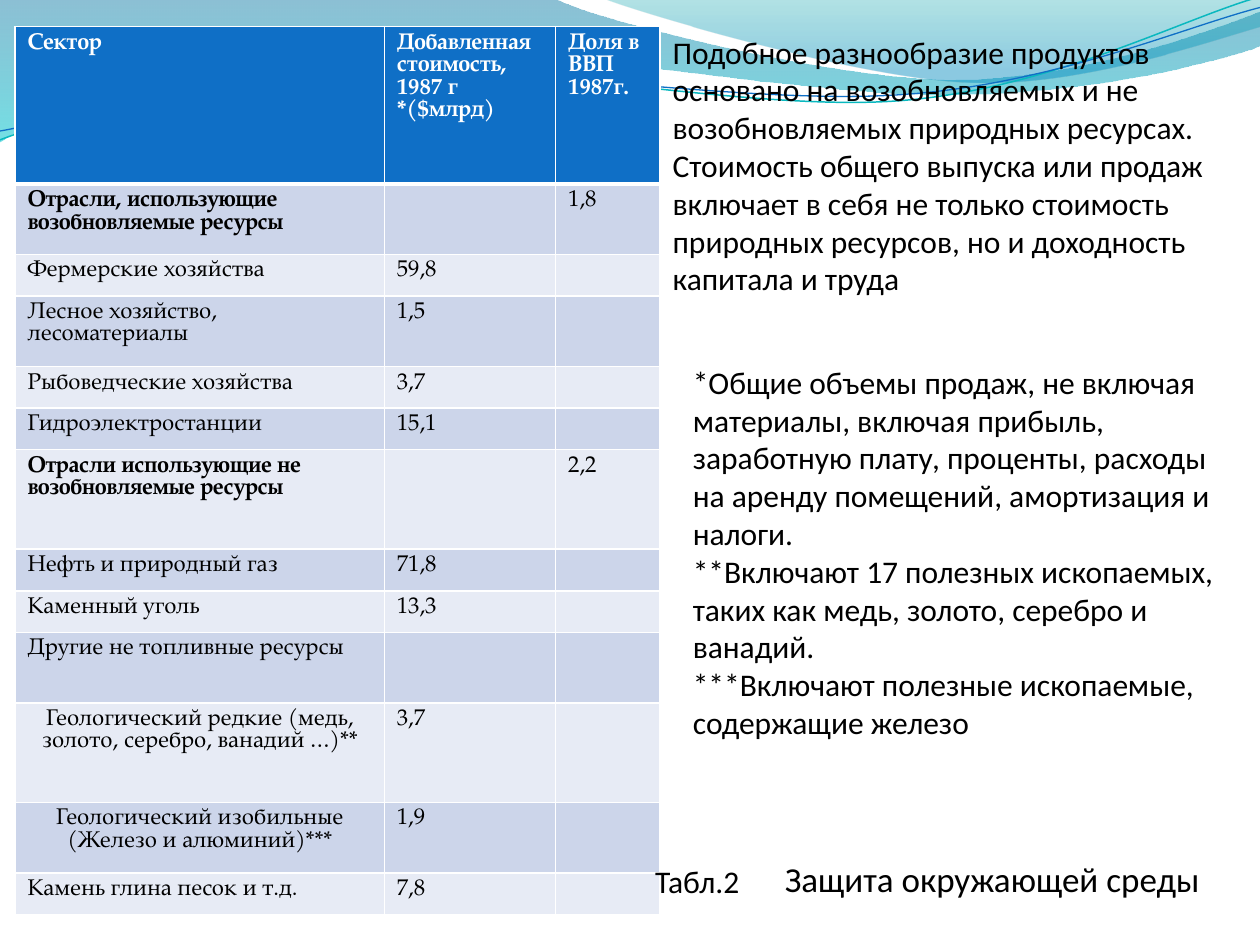
from math import cos, radians, sin

from pptx import Presentation
from pptx.dml.color import RGBColor
from pptx.enum.text import MSO_AUTO_SIZE, PP_ALIGN
from pptx.oxml.ns import qn
from pptx.util import Inches, Pt
from lxml.etree import SubElement

COLORS = {
    "header": "0F6FC6", "odd": "CCD5EA", "even": "E7EBF5",
    "white": "FFFFFF", "black": "000000",
    "deep": "0074A1", "aqua": "00C6CF", "teal": "00A1A9", "sky": "008BBF",
    "cyan_line": "0AB8BF", "blue_line": "0F6FC6",
}
TABLE_FONT = "TeX Gyre Pagella"
TEXT_FONT = "Calibri"
COLUMN_WIDTHS = [2.93, 1.36, 0.83]
ROW_HEIGHTS = [1.25, 0.56, 0.33, 0.56, 0.33, 0.33, 0.79, 0.33, 0.33, 0.56, 0.79, 0.56, 0.33]
ROWS = [
    ("Сектор", "Добавленная стоимость, 1987 г *($млрд)", "Доля в ВВП 1987г."),
    ("Отрасли, использующие возобновляемые ресурсы", "", "1,8"),
    ("Фермерские хозяйства", "59,8", ""),
    ("Лесное хозяйство, лесоматериалы", "1,5", ""),
    ("Рыбоведческие хозяйства", "3,7", ""),
    ("Гидроэлектростанции", "15,1", ""),
    ("Отрасли использующие не возобновляемые ресурсы", "", "2,2"),
    ("Нефть и природный газ", "71,8", ""),
    ("Каменный уголь", "13,3", ""),
    ("Другие не топливные ресурсы", "", ""),
    ("Геологический редкие (медь, золото, серебро, ванадий …)**", "3,7", ""),
    ("Геологический изобильные (Железо и алюминий)***", "1,9", ""),
    ("Камень глина песок и т.д.", "7,8", ""),
]
GROUP_ROWS = {1, 6}
CENTERED_ROWS = {10, 11}

WAVES = [
    ([(0, 0), (4.4, -0.01),
      (4.76, 0.17, 6.64, 0.63, 7.58, 0.63), (8.53, 0.63, 9.58, 0.26, 10, 0.09),
      (10.01, 0.36), (9.83, 0.44, 8.7, 0.76, 7.46, 0.75),
      (6.22, 0.75, 3.82, 0.28, 2.57, 0.34), (1.29, 0.36, 0.46, 0.83, -0.01, 1.13)],
     [(0, "deep", 45), (1, "aqua", 55)]),
    ([(4.79, -0.01), (5.09, 0.11, 6.82, 0.62, 7.69, 0.65),
      (8.56, 0.69, 9.61, 0.32, 10, 0.21), (10, 0)],
     [(0, "teal", 30), (0.8, "sky", 45)]),
]
WAVE_LINE_ANGLE = 357.3
WAVE_LINES = [
    ([(0, 1.11), (0.48, 0.93, 1.58, 0.57, 2.77, 0.52),
      (3.95, 0.47, 5.93, 0.89, 7.13, 0.8), (8.33, 0.71, 9.38, 0.15, 9.98, -0.02)],
     (4.99, 0.58), "cyan_line", 0.85),
    ([(0, 1.04), (0.47, 0.96, 1.64, 0.61, 2.83, 0.56),
      (4.03, 0.51, 5.97, 0.84, 7.17, 0.75), (8.36, 0.67, 9.41, 0.21, 10, 0.06)],
     (5, 0.59), "blue_line", 0.75),
]
PRODUCTS_TEXT = (
    "Подобное разнообразие продуктов основано на возобновляемых и не возобновляемых "
    "природных ресурсах. Стоимость общего выпуска или продаж включает в себя не только "
    "стоимость природных ресурсов, но и доходность капитала и труда"
)
FOOTNOTES = "\n".join([
    "*Общие объемы продаж, не включая материалы, включая прибыль, заработную плату, "
    "проценты, расходы на аренду помещений, амортизация и налоги.",
    "**Включают 17 полезных ископаемых, таких как медь, золото, серебро и ванадий.",
    "***Включают полезные ископаемые, содержащие железо",
])


def color(name):
    """Return the named colour."""
    return RGBColor.from_string(COLORS[name])


def turn(point, center, degrees):
    """Rotate a point clockwise about a center."""
    x, y = point[0] - center[0], point[1] - center[1]
    cosine, sine = cos(radians(degrees)), sin(radians(degrees))
    return center[0] + x * cosine - y * sine, center[1] + x * sine + y * cosine


def add_outline(slide, segments, close, center=(0, 0), angle=0):
    """Add a freeform of straight lines and cubic curves, without shadow."""
    points = [turn(segment[i:i + 2], center, -angle)
              for segment in segments for i in range(0, len(segment), 2)]
    start, *others = [(Inches(x), Inches(y)) for x, y in points]
    builder = slide.shapes.build_freeform(*start)
    builder.add_line_segments(others, close=close)
    shape = builder.convert_to_shape()
    shape.rotation = angle
    shape.shadow.inherit = False
    lines = iter(list(shape._element.iter(qn("a:lnTo"))))
    for segment in segments[1:]:
        line = next(lines)
        if len(segment) == 6:
            line.tag = qn("a:cubicBezTo")
            for extra in (next(lines), next(lines)):
                line.append(extra[0])
                extra.getparent().remove(extra)
    return shape


def add_wave(slide, segments, stops):
    """Add a wave filled with a translucent vertical gradient."""
    shape = add_outline(slide, segments, True)
    shape.line.fill.background()
    shape.fill.gradient()
    shape.fill.gradient_angle = 270
    for stop, (position, name, opacity) in zip(shape.fill.gradient_stops, stops):
        stop.position = position
        stop.color.rgb = color(name)
    elements = shape._element.spPr.iter(qn("a:srgbClr"))
    for element, (position, name, opacity) in zip(list(elements), stops):
        SubElement(element, qn("a:alpha"), val=str(opacity * 1000))


def add_wave_line(slide, segments, center, name, width):
    """Add a thin curved line."""
    shape = add_outline(slide, segments, False, center, WAVE_LINE_ANGLE)
    shape.fill.background()
    shape.line.color.rgb = color(name)
    shape.line.width = Pt(width)


def style_font(font, name, size, color_name):
    """Set the typeface, size and colour of a font."""
    font.name = name
    font.size = Pt(size)
    font.color.rgb = color(color_name)


def add_header_border(cell):
    """Draw the thick white line below a header cell."""
    border = SubElement(cell._tc.get_or_add_tcPr(), qn("a:lnB"), w=str(Pt(3)))
    fill = SubElement(border, qn("a:solidFill"))
    SubElement(fill, qn("a:srgbClr"), val=COLORS["white"])


def fill_cell(cell, text, row, column):
    """Write one table cell and format it by its place."""
    if row == 0:
        add_header_border(cell)
    cell.fill.solid()
    cell.fill.fore_color.rgb = color("header" if row == 0 else "odd" if row % 2 else "even")
    paragraph = cell.text_frame.paragraphs[0]
    paragraph.line_spacing = Pt(12.8)
    if not text:
        SubElement(paragraph._p, qn("a:endParaRPr"), sz="1300")
        return
    paragraph.text = text
    if row in CENTERED_ROWS and column == 0:
        paragraph.alignment = PP_ALIGN.CENTER
    for run in paragraph.runs:
        style_font(run.font, TABLE_FONT, 13, "black" if row else "white")
        run.font.bold = row == 0 or (row in GROUP_ROWS and column == 0)


def add_sector_table(slide):
    """Add the table of sectors, added value and share of GDP."""
    frame = slide.shapes.add_table(
        len(ROWS), len(COLUMN_WIDTHS), Inches(0.12), Inches(0.21),
        Inches(sum(COLUMN_WIDTHS)), Inches(sum(ROW_HEIGHTS)))
    table = frame.table
    for column, width in zip(table.columns, COLUMN_WIDTHS):
        column.width = Inches(width)
    for row, height in zip(table.rows, ROW_HEIGHTS):
        row.height = Inches(height)
    for row, texts in enumerate(ROWS):
        for column, text in enumerate(texts):
            fill_cell(table.cell(row, column), text, row, column)


def add_text(slide, text, left, top, width, height, size=18, wrap=True):
    """Add a text box in the body font."""
    box = slide.shapes.add_textbox(Inches(left), Inches(top), Inches(width), Inches(height))
    text_frame = box.text_frame
    text_frame.word_wrap = wrap
    text_frame.auto_size = MSO_AUTO_SIZE.SHAPE_TO_FIT_TEXT
    text_frame.text = text
    for paragraph in text_frame.paragraphs:
        for run in paragraph.runs:
            style_font(run.font, TEXT_FONT, size, "black")


def main():
    """Build the slide and save it."""
    presentation = Presentation()
    presentation.slide_width, presentation.slide_height = Inches(10), Inches(7.5)
    slide = presentation.slides.add_slide(presentation.slide_layouts[6])
    for wave in WAVES:
        add_wave(slide, *wave)
    for wave_line in WAVE_LINES:
        add_wave_line(slide, *wave_line)
    add_sector_table(slide)
    add_text(slide, PRODUCTS_TEXT, 5.24, 0.21, 4.57, 2.22)
    add_text(slide, "Защита окружающей среды", 6.13, 6.76, 3.52, 0.44, size=20, wrap=False)
    add_text(slide, FOOTNOTES, 5.4, 2.83, 4.57, 3.13)
    add_text(slide, "Табл.2", 5.1, 6.79, 0.88, 0.4, wrap=False)
    presentation.save("out.pptx")


if __name__ == "__main__":
    main()
